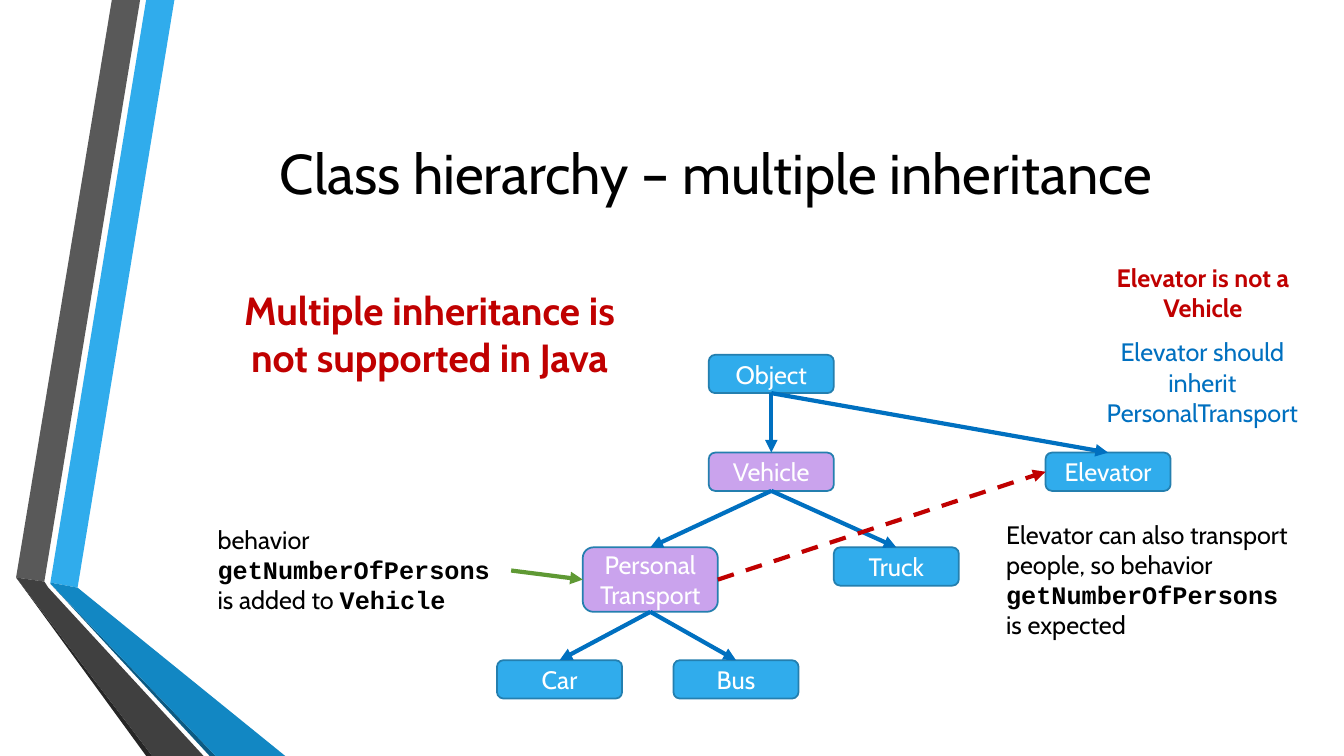
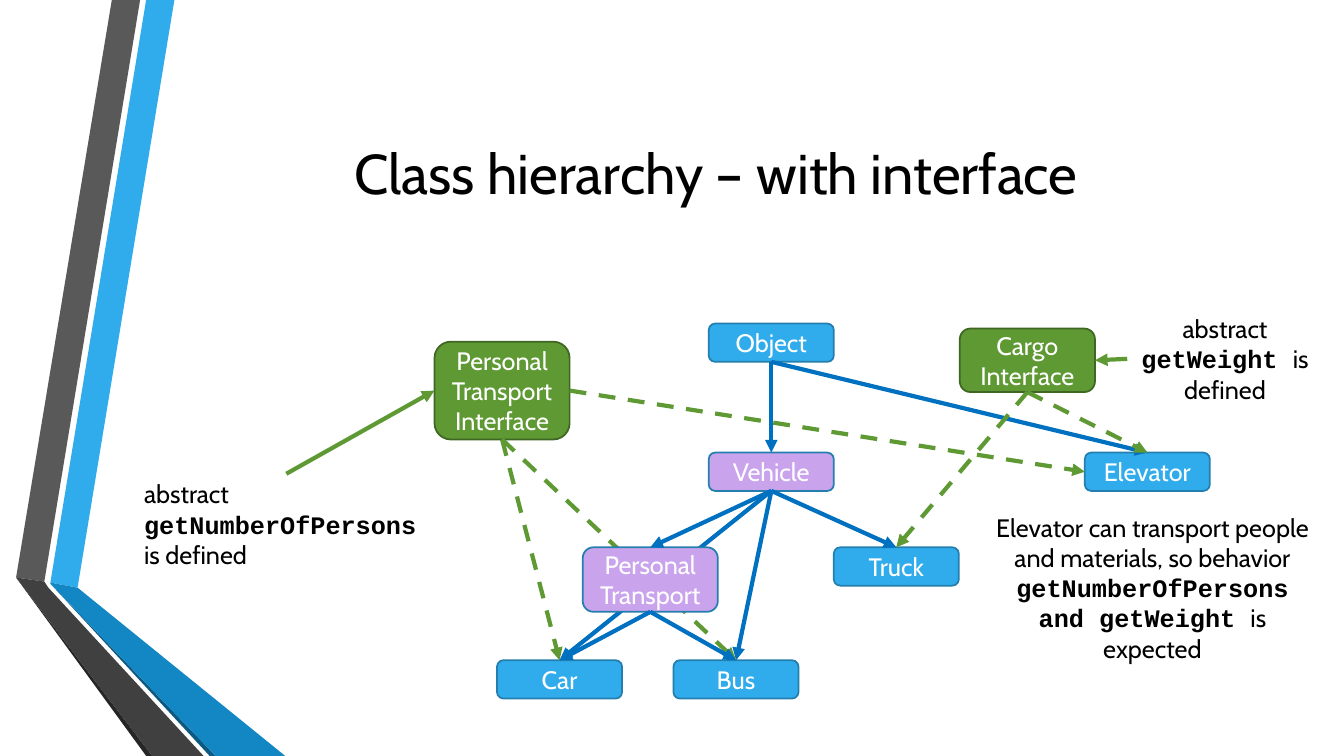
from dataclasses import dataclass

from lxml.etree import SubElement
from pptx import Presentation
from pptx.dml.color import RGBColor
from pptx.enum.dml import MSO_LINE
from pptx.enum.shapes import MSO_CONNECTOR, MSO_SHAPE
from pptx.enum.text import MSO_ANCHOR, PP_ALIGN
from pptx.oxml.ns import qn
from pptx.util import Inches, Pt


@dataclass(frozen=True)
class Theme:
    font: str = "Cabin"
    mono: str = "Courier New"
    title: int = 40
    alert: int = 28
    body: int = 18
    edge: float = 1.25
    arrow: int = 3
    black: str = "000000"
    white: str = "FFFFFF"
    blue: str = "0070C0"
    red: str = "C00000"
    green: str = "5F9934"
    sky: str = "30ACEC"
    lilac: str = "CAA3ED"
    rim: str = "247FAF"
    moss: str = "3F6623"


T = Theme()

TITLE_AT = (1.62, 0.75, 10.96, 1.92)
BANDS = [
    ("30ACEC", [(0.5, 5.78), (0.77, 5.83), (1.73, 0), (1.45, 0)]),
    ("595959", [(1.39, 0), (1.11, 0), (0.16, 5.73), (0.44, 5.77)]),
    ("262626", [(0.16, 5.73), (1.45, 7.5), (1.51, 7.5)]),
    ("0C5A82", [(0.5, 5.79), (2.08, 7.5), (2.14, 7.5)]),
    ("1287C3", [(0.5, 5.79), (2.14, 7.5), (2.83, 7.5), (0.77, 5.83), (0.5, 5.78)]),
    ("404040", [(2.02, 7.5), (0.48, 5.83), (0.44, 5.77), (0.16, 5.73), (1.51, 7.5)]),
]

TOP, LEFT, BOTTOM, RIGHT = range(4)
CENTER, START = PP_ALIGN.CENTER, PP_ALIGN.LEFT

# Box looks: width, height, fill, outline
CLASS = (1.24, 0.38, T.sky, T.rim)
BASE = (1.24, 0.38, T.lilac, T.rim)
GROUP = (1.34, 0.64, T.lilac, T.rim)
TALL = (1.34, 0.97, T.green, T.moss)
WIDE = (1.34, 0.63, T.green, T.moss)

PERSONAL = "Personal Transport"
PEOPLE = "Personal Transport\nInterface"
CARGO = "Cargo\nInterface"

# Boxes: left, top, look
FIXED = {
    "Vehicle": (7.03, 4.49, BASE),
    "Truck": (8.27, 5.43, CLASS),
    "Car": (4.93, 6.55, CLASS),
    "Bus": (6.68, 6.55, CLASS),
}
MIDDLE = {PERSONAL: (5.78, 5.43, GROUP)}


def down(start, *ends, color=T.blue, dash=False):
    """Links from the bottom of one box to the tops of others."""
    return [(start, BOTTOM, end, TOP, color, dash) for end in ends]


def point(start, end, side):
    """Green link from a free point to a box."""
    return (start, None, end, side, T.green, False)


ROOT = down("Object", "Vehicle", "Elevator")
SPLIT = down("Vehicle", PERSONAL) + down(PERSONAL, "Car", "Bus")

# Layers: boxes, links. Notes: place, align, colour, size, bold, text (`mono`)
SLIDES = [
    {
        "title": "Class hierarchy – multiple inheritance",
        "layers": [
            (
                FIXED | MIDDLE | {
                    "Object": (7.03, 3.52, CLASS),
                    "Elevator": (10.37, 4.49, CLASS),
                },
                ROOT + down("Vehicle", "Truck") + SPLIT + [
                    point((5.07, 5.66), PERSONAL, LEFT),
                    (PERSONAL, RIGHT, "Elevator", LEFT, T.red, True),
                ],
            ),
        ],
        "notes": [
            ((9.88, 5.1, 3.28, 1.31), START, T.black, T.body, False,
             "Elevator can also transport people, so behavior\n"
             "`getNumberOfPersons`\nis expected"),
            ((2.06, 5.15, 3.01, 1.01), START, T.black, T.body, False,
             "behavior\n`getNumberOfPersons`\nis added to `Vehicle`"),
            ((10.82, 3.29, 2.21, 1.01), CENTER, T.blue, T.body, False,
             "Elevator should inherit PersonalTransport"),
            ((2.06, 2.79, 4.4, 1.1), CENTER, T.red, T.alert, True,
             "Multiple inheritance is not supported in Java"),
            ((10.82, 2.55, 2.22, 0.75), CENTER, T.red, T.body, True,
             "Elevator is not a Vehicle"),
        ],
    },
    {
        "title": "Class hierarchy – with interface",
        "layers": [
            (
                FIXED | {
                    "Object": (7.03, 3.21, CLASS),
                    "Elevator": (10.76, 4.49, CLASS),
                    PEOPLE: (4.31, 3.39, TALL),
                    CARGO: (9.52, 3.26, WIDE),
                },
                down(PEOPLE, "Bus", "Car", color=T.green, dash=True)
                + down("Vehicle", "Truck", "Car", "Bus") + ROOT
                + [
                    point((2.84, 4.7), PEOPLE, LEFT),
                    (PEOPLE, RIGHT, "Elevator", LEFT, T.green, True),
                    point((11.18, 3.56), CARGO, RIGHT),
                ]
                + down(CARGO, "Elevator", "Truck", color=T.green, dash=True),
            ),
            (MIDDLE, SPLIT),
        ],
        "notes": [
            ((9.69, 5.03, 3.48, 1.31), CENTER, T.black, T.body, False,
             "Elevator can transport people and materials, so behavior\n"
             "`getNumberOfPersons and getWeight `is expected"),
            ((1.33, 4.7, 3.01, 1.01), START, T.black, T.body, False,
             "abstract\n`getNumberOfPersons`\nis defined"),
            ((11.18, 3.06, 1.94, 1.01), CENTER, T.black, T.body, False,
             "abstract `getWeight `is defined"),
        ],
    },
]


def rgb(code):
    return RGBColor.from_string(code)


def style(par, align, color, size, bold=False):
    par.alignment = align
    font = par.font
    font.name, font.size, font.bold = T.font, Pt(size), bold
    font.color.rgb = rgb(color)


def add_bands(layout, slide):
    """Draw the side bands and move them to the shared layout."""
    for holder in list(layout.placeholders):
        layout.shapes.element.remove(holder.element)
    bands = []
    for color, dots in BANDS:
        dots = [(Inches(x), Inches(y)) for x, y in dots]
        pen = slide.shapes.build_freeform(*dots[0])
        pen.add_line_segments(dots[1:], close=True)
        band = pen.convert_to_shape()
        band.shadow.inherit = False
        band.fill.solid()
        band.fill.fore_color.rgb = rgb(color)
        band.line.fill.background()
        bands.append(band)
    for band in bands:
        layout.shapes.element.append(band.element)


def add_note(slide, place, align, color, size, bold, text):
    """Add a text box; text between backticks is bold and monospaced."""
    frame = slide.shapes.add_textbox(*map(Inches, place)).text_frame
    frame.word_wrap = True
    par = frame.paragraphs[0]
    style(par, align, color, size, bold)
    for row, line in enumerate(text.split("\n")):
        if row:
            par.add_line_break()
        for part, words in enumerate(line.split("`")):
            if not words:
                continue
            run = par.add_run()
            run.text = words
            if part % 2:
                run.font.name, run.font.bold = T.mono, True
    return frame


def add_box(slide, text, left, top, look):
    width, height, fill, edge = look
    place = map(Inches, (left, top, width, height))
    box = slide.shapes.add_shape(MSO_SHAPE.ROUNDED_RECTANGLE, *place)
    box.shadow.inherit = False
    box.fill.solid()
    box.fill.fore_color.rgb = rgb(fill)
    box.line.color.rgb = rgb(edge)
    box.line.width = Pt(T.edge)
    frame = box.text_frame
    frame.text = text
    frame.word_wrap = True
    frame.vertical_anchor = MSO_ANCHOR.MIDDLE
    for par in frame.paragraphs:
        style(par, CENTER, T.white, T.body)
    return box


def add_link(slide, boxes, start, leave, end, enter, color, dash):
    """Join two boxes, or a free point and a box, with an arrow."""
    x, y = (0, 0) if start in boxes else map(Inches, start)
    link = slide.shapes.add_connector(MSO_CONNECTOR.STRAIGHT, x, y, x, y)
    if start in boxes:
        link.begin_connect(boxes[start], leave)
    link.end_connect(boxes[end], enter)
    link.line.color.rgb = rgb(color)
    link.line.width = Pt(T.arrow)
    if dash:
        link.line.dash_style = MSO_LINE.DASH
    props = link.element.spPr
    SubElement(props.find(qn("a:ln")), qn("a:tailEnd"), type="triangle")
    SubElement(props, qn("a:effectLst"))


def main():
    deck = Presentation()
    deck.slide_width, deck.slide_height = Inches(13.33), Inches(7.5)
    blank = deck.slide_layouts[6]
    for index, page in enumerate(SLIDES):
        slide = deck.slides.add_slide(blank)
        if index == 0:
            for holder in list(slide.placeholders):
                slide.shapes.element.remove(holder.element)
            add_bands(blank, slide)
        title = add_note(slide, TITLE_AT, CENTER, T.black, T.title, False, page["title"])
        title.vertical_anchor = MSO_ANCHOR.MIDDLE
        boxes = {}
        for places, links in page["layers"]:
            for text, place in places.items():
                boxes[text] = add_box(slide, text, *place)
            for link in links:
                add_link(slide, boxes, *link)
        for note in page["notes"]:
            add_note(slide, *note)
    deck.save("out.pptx")


if __name__ == "__main__":
    main()
